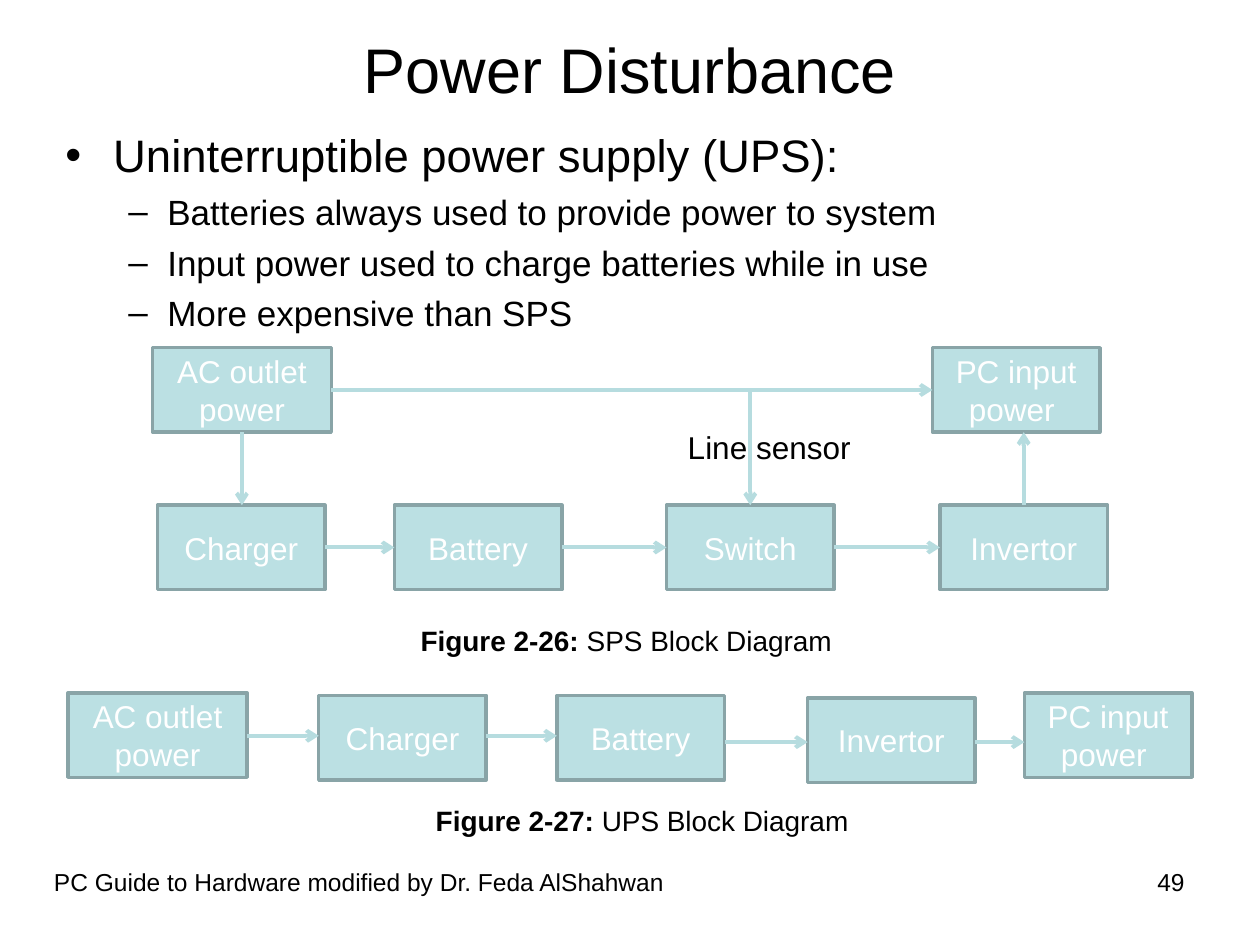
from lxml import etree
from pptx import Presentation, util as u
from pptx.enum import shapes, text
from pptx.dml.color import RGBColor
from pptx.oxml.ns import qn

HUES = {"ink": "000000", "pale": "FFFFFF", "fill": "BBE0E3", "edge": "89A4A7", "line": "B6DCDF"}
WIDE, HIGH = 10, 7.5
BOX_W, AC_W, BOX_H = 1.33, 1.42, 0.67
TOP, LOW, UPS = 2.76, 4.01, 5.5
LEFT, MID, RIGHT = text.PP_ALIGN.LEFT, text.PP_ALIGN.CENTER, text.PP_ALIGN.RIGHT

TITLE = "Power Disturbance"
POINTS = [
    ("Uninterruptible power supply (UPS):", 0),
    ("Batteries always used to provide power to system", 1),
    ("Input power used to charge batteries while in use", 1),
    ("More expensive than SPS", 1),
]
LEVELS = [
    dict(mark="•", size=26, left=0.38, hang=0.38, gap=0),
    dict(mark="–", size=20, left=0.81, hang=0.31, gap=5),
]
AC, PC = "AC outlet power", "PC input power "
SPS_BOXES = [
    (AC, 1.21, TOP), ("Charger", 1.25, LOW), ("Battery", 3.13, LOW),
    ("Switch", 5.29, LOW), ("Invertor", 7.46, LOW), (PC, 7.4, TOP),
]
UPS_BOXES = [
    (AC, 0.54, UPS), ("Charger", 2.53, UPS + 0.02), ("Battery", 4.42, UPS + 0.02),
    ("Invertor", 6.41, UPS + 0.04), (PC, 8.13, UPS),
]
SPS_LINKS = [
    (AC, PC), ("Charger", "Battery"), ("Battery", "Switch"), ("Switch", "Invertor"),
]
UPS_LINKS = [
    (AC, "Charger", 5.84), ("Charger", "Battery", 5.84),
    ("Battery", "Invertor", 5.89), ("Invertor", PC, 5.89),
]
NOTES = [
    ([("Line sensor", False)], (5.36, 3.35, 1.49, 0.4), 18, LEFT),
    ([("Figure 2-26: ", True), ("SPS Block Diagram", False)], (3.24, 4.9, 3.75, 0.37), 16, LEFT),
    ([("Figure 2-27: ", True), ("UPS Block Diagram", False)], (3.36, 6.33, 3.75, 0.37), 16, LEFT),
    ([("PC Guide to Hardware modified by Dr. Feda AlShahwan", False)],
     (0.33, 6.83, 6.58, 0.52), 14, LEFT),
    ([("49", False)], (7.17, 6.83, 2.33, 0.52), 14, RIGHT),
]


def inch(vals):
    return [u.Inches(v) for v in vals]


def write(para, runs, size=18, hue="ink", align=LEFT, gap=0):
    para.alignment = align
    para.space_before = u.Pt(gap)
    for words, bold in runs:
        run = para.add_run()
        run.text = words
        font = run.font
        font.name, font.size, font.bold = "Arial", u.Pt(size), bold
        font.color.rgb = RGBColor.from_string(HUES[hue])


def panel(slide, area):
    frame = slide.shapes.add_textbox(*inch(area)).text_frame
    frame.word_wrap = True
    return frame


def bullet(para, mark, left, hang):
    props = para._p.get_or_add_pPr()
    props.set("marL", str(u.Inches(left)))
    props.set("indent", str(-u.Inches(hang)))
    etree.SubElement(props, qn("a:buFont"), typeface="Arial")
    etree.SubElement(props, qn("a:buChar"), char=mark)


def block(slide, name, x, y):
    area = (x, y, AC_W if name == AC else BOX_W, BOX_H)
    box = slide.shapes.add_shape(shapes.MSO_SHAPE.RECTANGLE, *inch(area))
    box.shadow.inherit = False
    box.fill.solid()
    box.fill.fore_color.rgb = RGBColor.from_string(HUES["fill"])
    box.line.color.rgb = RGBColor.from_string(HUES["edge"])
    box.line.width = u.Pt(2)
    frame = box.text_frame
    frame.word_wrap = True
    frame.vertical_anchor = text.MSO_ANCHOR.MIDDLE
    write(frame.paragraphs[0], [(name, False)], hue="pale", align=MID)
    return box


def arrow(slide, *ends):
    link = slide.shapes.add_connector(shapes.MSO_CONNECTOR.STRAIGHT, *ends)
    link.line.color.rgb = RGBColor.from_string(HUES["line"])
    link.line.width = u.Pt(2.25)
    etree.SubElement(link.line._get_or_add_ln(), qn("a:tailEnd"), type="arrow")
    etree.SubElement(link._element.spPr, qn("a:effectLst"))


def across(slide, a, b, y=None):
    y = a.top + a.height // 2 if y is None else u.Inches(y)
    arrow(slide, a.left + a.width, y, b.left, y)


def main():
    deck = Presentation()
    deck.slide_width, deck.slide_height = inch((WIDE, HIGH))
    slide = deck.slides.add_slide(deck.slide_layouts[5])

    head = slide.shapes.title
    head.left, head.top, head.width, head.height = inch((0.5, 0, 9, 1.08))
    head.text_frame.vertical_anchor = text.MSO_ANCHOR.MIDDLE
    write(head.text_frame.paragraphs[0], [(TITLE, False)], size=36, align=MID)

    body = panel(slide, (0.42, 0.96, 9, 1.75))
    for i, (words, level) in enumerate(POINTS):
        para = body.add_paragraph() if i else body.paragraphs[0]
        look = LEVELS[level]
        para.level = level
        bullet(para, look["mark"], look["left"], look["hang"])
        write(para, [(words, False)], size=look["size"], gap=look["gap"])

    sps = {name: block(slide, name, x, y) for name, x, y in SPS_BOXES}
    for a, b in SPS_LINKS:
        across(slide, sps[a], sps[b])
    upper, lower = u.Inches(TOP + BOX_H), u.Inches(LOW)
    rail = u.Inches(TOP + BOX_H / 2)
    for name, start, end in [
        (AC, upper, lower), ("Switch", rail, lower), ("Invertor", lower, upper),
    ]:
        x = sps[name].left + sps[name].width // 2
        arrow(slide, x, start, x, end)

    ups = {name: block(slide, name, x, y) for name, x, y in UPS_BOXES}
    for a, b, y in UPS_LINKS:
        across(slide, ups[a], ups[b], y)

    for runs, area, size, align in NOTES:
        write(panel(slide, area).paragraphs[0], runs, size=size, align=align)

    deck.save("out.pptx")


if __name__ == "__main__":
    main()
